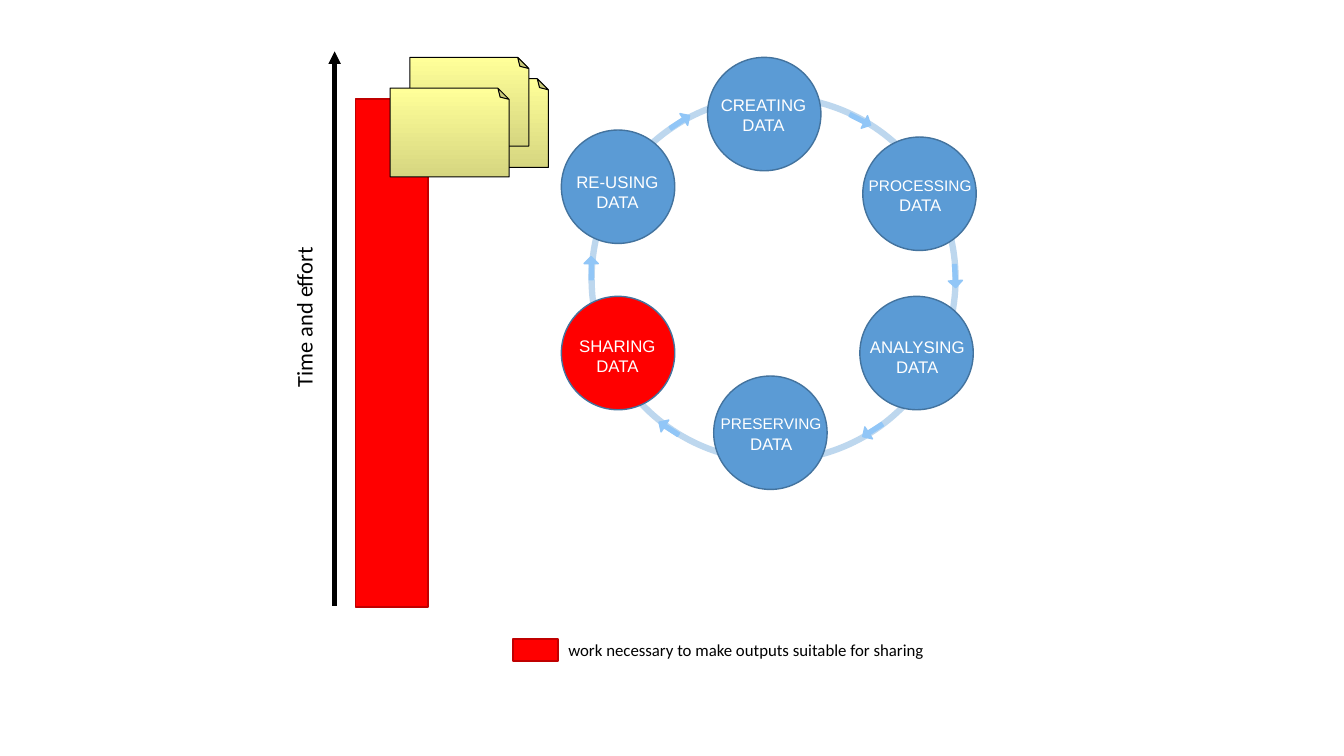
"""Builds a slide of the data life cycle beside a bar of sharing effort."""
import pptx
import pptx.util
import pptx.dml.color
import pptx.enum.shapes
import pptx.enum.text
import pptx.oxml
import pptx.oxml.ns

Pt = pptx.util.Pt
RGBColor = pptx.dml.color.RGBColor
SHAPE = pptx.enum.shapes.MSO_SHAPE
ALIGN = pptx.enum.text.PP_ALIGN
NS = pptx.oxml.ns.nsdecls("a")

BLACK = RGBColor(0x00, 0x00, 0x00)
WHITE = RGBColor(0xFF, 0xFF, 0xFF)
RED = RGBColor(0xFF, 0x00, 0x00)
DARK_RED = RGBColor(0xC0, 0x00, 0x00)
BLUE = RGBColor(0x5B, 0x9B, 0xD5)
DARK_BLUE = RGBColor(0x43, 0x73, 0x9E)
RING_BLUE = RGBColor(0xBD, 0xD7, 0xEE)
ARROW_BLUE = RGBColor(0x91, 0xC6, 0xF7)
NOTE_SHADE = RGBColor(0xD6, 0xD6, 0x80)
NOTE_YELLOW = RGBColor(0xFF, 0xFF, 0x99)


def add_text(shapes, text, box, sizes=(12,), font="Arial", color=WHITE,
             align=ALIGN.CENTER, wrap=True, rotation=0):
    """Adds a text box; "|" separates runs and a newline separates paragraphs."""
    sp = shapes.add_textbox(*[Pt(v) for v in box])
    sp.rotation = rotation
    tf = sp.text_frame
    tf.word_wrap = wrap
    tf.auto_size = pptx.enum.text.MSO_AUTO_SIZE.SHAPE_TO_FIT_TEXT
    for i, line in enumerate(text.split("\n")):
        p = tf.paragraphs[0] if i == 0 else tf.add_paragraph()
        p.alignment = align
        for j, part in enumerate(line.split("|")):
            r = p.add_run()
            r.text = part
            r.font.size = Pt(sizes[j])
            r.font.name = font
            r.font.color.rgb = color


def add_shape(shapes, kind, box, fill, line, weight=1, rotation=0):
    """Adds a preset shape without shadow."""
    sp = shapes.add_shape(kind, *[Pt(v) for v in box])
    sp.shadow.inherit = False
    sp.rotation = rotation
    if fill is None:
        sp.fill.background()
    else:
        sp.fill.solid()
        sp.fill.fore_color.rgb = fill
    sp.line.color.rgb = line
    sp.line.width = Pt(weight)
    return sp


prs = pptx.Presentation()
prs.slide_width, prs.slide_height = Pt(960), Pt(540)
s = prs.slides.add_slide(prs.slide_layouts[6])

cycle = s.shapes.add_group_shape().shapes
add_shape(cycle, SHAPE.OVAL, (422.6, 69.1, 260, 260), None, RING_BLUE, 4.5)

stages = [
    ("CREATING DATA", (12,), (505.4, 41), (507.6, 64.1, 75.6, 36), BLUE),
    ("PROCESSING| DATA", (11, 12), (616.3, 97.9), (609.1, 121, 96.5, 36), BLUE),
    ("ANALYSING| |DATA", (12, 14, 12), (614.2, 211.7), (609.1, 234.7, 92.2, 38.9), BLUE),
    ("PRESERVING| DATA", (11, 12), (509.8, 268.6), (501.1, 291.6, 99.4, 36), BLUE),
    ("SHARING\nDATA", (12,), (401, 211.7), (403.2, 236.2, 75.6, 36), RED),
    ("RE-USING DATA", (12,), (401, 92.9), (403.2, 118.8, 75.6, 36), BLUE),
]
for text, sizes, (x, y), box, fill in stages:
    add_shape(cycle, SHAPE.OVAL, (x, y, 81, 81), fill, DARK_BLUE)
    add_text(cycle, text, box, sizes)

arrows = [(606.2, 80.6, 27), (673.9, 192.2, 86.9), (614.9, 302.4, 147.5),
          (469.4, 301, 212.9), (414, 186.5, 270), (477.4, 82.1, 326.5)]
for x, y, angle in arrows:
    sp = add_shape(cycle, SHAPE.RIGHT_ARROW, (x, y, 16.6, 10.1),
                   ARROW_BLUE, ARROW_BLUE, rotation=angle)
    sp.adjustments[0] = 0.28

axis = s.shapes.add_connector(pptx.enum.shapes.MSO_CONNECTOR.STRAIGHT,
                              Pt(239), Pt(432.7), Pt(239), Pt(36.7))
axis.line.color.rgb = BLACK
axis.line.width = Pt(3)
ln = axis._element.spPr.find(pptx.oxml.ns.qn("a:ln"))
ln.append(pptx.oxml.parse_xml(f'<a:tailEnd {NS} type="triangle"/>'))
axis._element.spPr.append(pptx.oxml.parse_xml(f"<a:effectLst {NS}/>"))
add_text(s.shapes, "Time and effort", (159.1, 212.4, 115.9, 26.6), (16,),
         "Calibri", BLACK, ALIGN.LEFT, False, 270)

add_shape(s.shapes, SHAPE.RECTANGLE, (254, 70.6, 51.8, 362.9), RED, DARK_RED)

notes = s.shapes.add_group_shape().shapes
for x, y in [(317.5, 45.4), (303.5, 30.2), (289.4, 52.2)]:
    sp = add_shape(notes, SHAPE.FOLDED_CORNER, (x, y, 63.4, 85),
                   None, BLACK, 0.75, 270)
    sp._element.spPr.find(".//" + pptx.oxml.ns.qn("a:avLst")).append(
        pptx.oxml.parse_xml(f'<a:gd {NS} name="adj" fmla="val 12500"/>'))
    sp.fill.gradient()
    sp.fill.gradient_angle = 0
    for stop, color in zip(sp.fill.gradient_stops, (NOTE_SHADE, NOTE_YELLOW)):
        stop.color.rgb = color

add_shape(s.shapes, SHAPE.RECTANGLE, (366.5, 456.5, 32, 15.8), RED, DARK_RED)
add_text(s.shapes, "work necessary to make outputs suitable for sharing",
         (398.9, 453.6, 271.4, 21.6), (12,), "Calibri", BLACK, ALIGN.LEFT, False)

prs.save("out.pptx")
